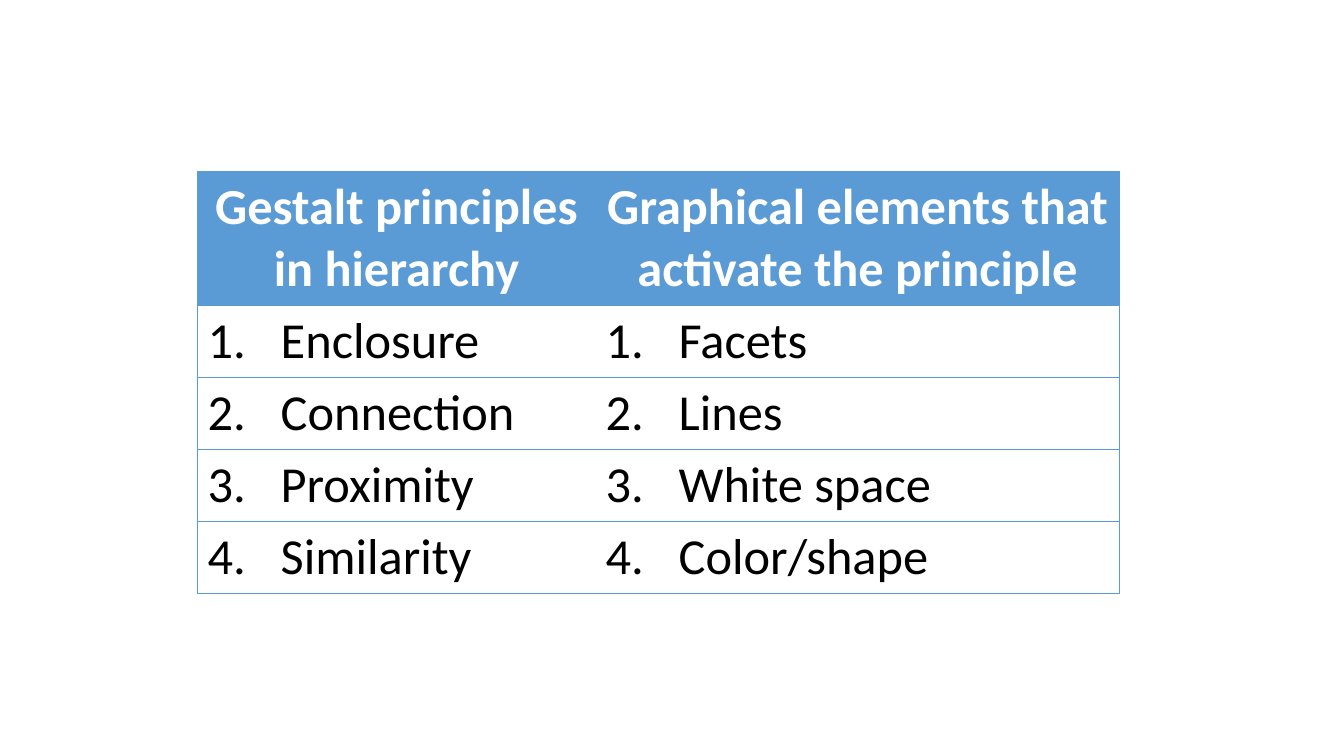
from dataclasses import dataclass

from lxml import etree
from pptx import Presentation
from pptx.dml.color import RGBColor
from pptx.enum.text import MSO_ANCHOR, PP_ALIGN
from pptx.oxml.ns import qn
from pptx.util import Cm, Pt

CENTER = PP_ALIGN.CENTER
LEFT = PP_ALIGN.LEFT
TOP = MSO_ANCHOR.TOP
BLANK = 6


@dataclass(frozen=True)
class Theme:
    font: str = "Calibri"
    size: int = 36
    line: float = 0.5
    blue: str = "5B9BD5"
    white: str = "FFFFFF"
    black: str = "000000"


THEME = Theme()
HEADS = ["Gestalt principles in hierarchy",
         "Graphical elements that activate the principle"]
PAIRS = [("Enclosure", "Facets"), ("Connection", "Lines"),
         ("Proximity", "White space"), ("Similarity", "Color/shape")]
WIDTHS = [Cm(10.03), Cm(13.21)]
HEAD_HIGH = Cm(3.38)
ROW_HIGH = Cm(1.81)
INDENT = Cm(1.84)


def put_text(frame, text, color=THEME.black, bold=False, align=LEFT):
    para = frame.paragraphs[0]
    para.alignment = align
    run = para.add_run()
    run.text = text
    font = run.font
    font.name = THEME.font
    font.size = Pt(THEME.size)
    font.bold = bold
    font.color.rgb = RGBColor.from_string(color)
    return para


def number(para, start):
    props = para._p.get_or_add_pPr()
    props.set("marL", str(INDENT))
    props.set("indent", str(-INDENT))
    mark = etree.SubElement(props, qn("a:buAutoNum"), type="arabicPeriod")
    mark.set("startAt", str(start))


def border(cell, sides):
    props = cell._tc.get_or_add_tcPr()
    for place, side in enumerate("LRTB"):
        line = etree.Element(qn(f"a:ln{side}"), w=str(Pt(THEME.line)))
        if side in sides:
            fill = etree.SubElement(line, qn("a:solidFill"))
            etree.SubElement(fill, qn("a:srgbClr"), val=THEME.blue)
        else:
            etree.SubElement(line, qn("a:noFill"))
        props.insert(place, line)


def style(cell, color, sides):
    cell.fill.solid()
    cell.fill.fore_color.rgb = RGBColor.from_string(color)
    cell.vertical_anchor = TOP
    border(cell, sides)


def add_grid(slide, left, top):
    count = len(PAIRS)
    high = HEAD_HIGH + count * ROW_HIGH
    frame = slide.shapes.add_table(count + 1, len(HEADS), left, top,
                                   sum(WIDTHS), high)
    grid = frame.table
    grid.horz_banding = False
    for row in grid.rows:
        row.height = ROW_HIGH
    grid.rows[0].height = HEAD_HIGH
    for col, (head, width, edge) in enumerate(zip(HEADS, WIDTHS, "LR")):
        grid.columns[col].width = width
        cell = grid.cell(0, col)
        style(cell, THEME.blue, edge + "TB")
        put_text(cell.text_frame, head, color=THEME.white, bold=True,
                 align=CENTER)
        for rank, pair in enumerate(PAIRS, 1):
            cell = grid.cell(rank, col)
            style(cell, THEME.white, edge + "TB")
            number(put_text(cell.text_frame, pair[col]), rank)


def main():
    deck = Presentation()
    deck.slide_width = Cm(33.87)
    deck.slide_height = Cm(19.05)
    slide = deck.slides.add_slide(deck.slide_layouts[BLANK])
    add_grid(slide, Cm(4.98), Cm(4.32))
    deck.save("out.pptx")


if __name__ == "__main__":
    main()
